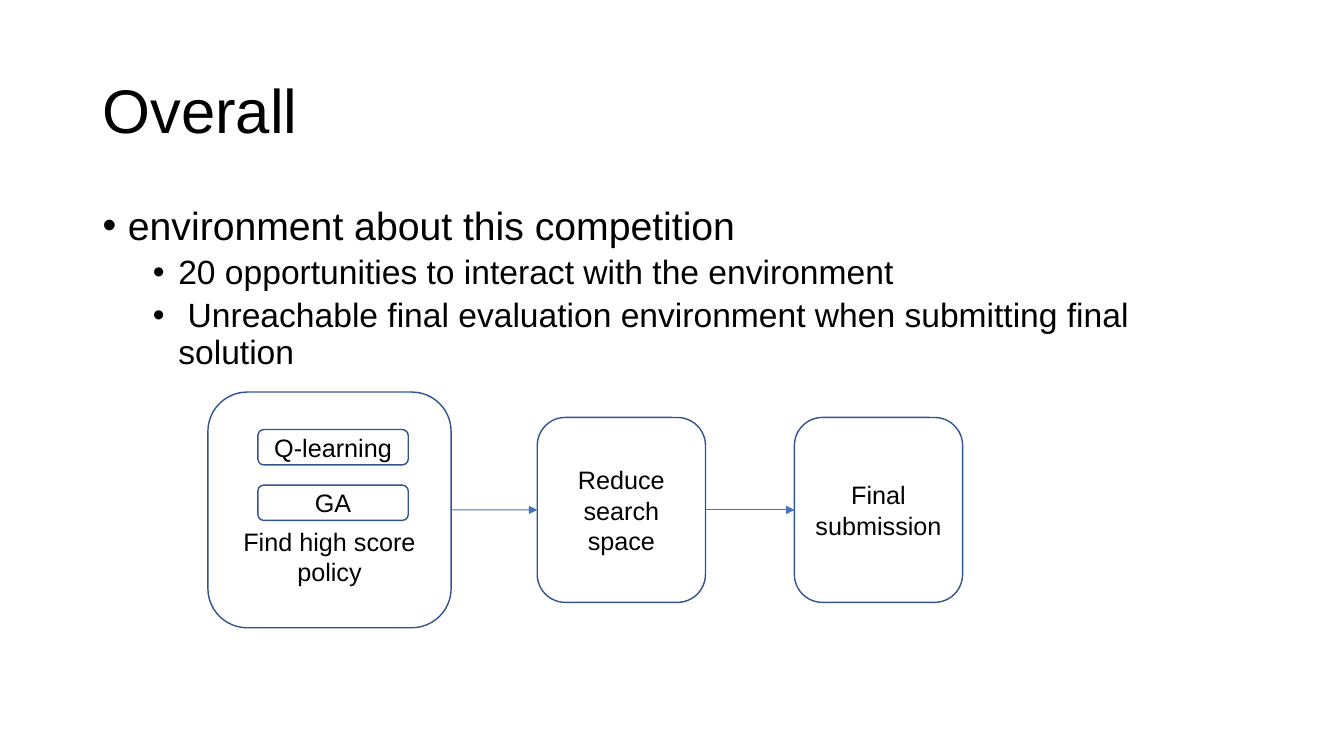
from dataclasses import dataclass

from lxml.etree import SubElement
from pptx import Presentation
from pptx.dml.color import RGBColor
from pptx.enum.shapes import MSO_CONNECTOR, MSO_SHAPE
from pptx.enum.text import MSO_ANCHOR, MSO_AUTO_SIZE, PP_ALIGN
from pptx.oxml.ns import qn
from pptx.shapes.autoshape import Shape
from pptx.slide import Slide
from pptx.text.text import TextFrame
from pptx.util import Cm, Pt

COLORS = {"text": "000000", "paper": "FFFFFF", "outline": "31538F", "arrow": "4472C4"}
FONT = "Arial"
FLOW_MIDDLE = 12.85


@dataclass(frozen=True)
class Step:
    text: str
    left: float
    middle: float
    width: float
    height: float
    fill: str | None = None
    top_inset: float = 0.13


@dataclass(frozen=True)
class Point:
    text: str
    size: int
    level: int
    indent: float
    space_before: int


STAGES = [
    Step("Find high score policy", 5.24, FLOW_MIDDLE, 6.13, 5.94, top_inset=2.46),
    Step("Reduce search space", 13.54, FLOW_MIDDLE, 4.24, 4.66),
    Step("Final submission", 20.02, FLOW_MIDDLE, 4.24, 4.66),
]
METHODS = [
    Step(name, 6.5, 11.27 + 1.4 * row, 3.79, 0.89, "paper")
    for row, name in enumerate(["Q-learning", "GA"])
]
POINTS = [
    Point("environment about this competition", 28, 0, 0.64, 0),
    Point("20 opportunities to interact with the environment", 24, 1, 1.91, 5),
    Point(
        " Unreachable final evaluation environment when submitting final solution",
        24, 1, 1.91, 5,
    ),
]


def color(name: str) -> RGBColor:
    return RGBColor.from_string(COLORS[name])


def write(
    frame: TextFrame,
    text: str,
    *,
    size: int = 18,
    align: PP_ALIGN = PP_ALIGN.LEFT,
    anchor: MSO_ANCHOR = MSO_ANCHOR.MIDDLE,
    line_spacing: float = 1.0,
    space_before: int = 0,
    level: int = 0,
    bullet_indent: float | None = None,
    append: bool = False,
) -> None:
    frame.word_wrap = True
    frame.auto_size = MSO_AUTO_SIZE.NONE
    frame.vertical_anchor = anchor
    paragraph = frame.add_paragraph() if append else frame.paragraphs[0]
    paragraph.level = level
    paragraph.alignment = align
    paragraph.line_spacing = line_spacing
    paragraph.space_before = Pt(space_before)
    run = paragraph.add_run()
    run.text = text
    run.font.name = FONT
    run.font.size = Pt(size)
    run.font.color.rgb = color("text")
    if bullet_indent is not None:
        properties = paragraph._p.get_or_add_pPr()
        properties.set("marL", str(Cm(bullet_indent)))
        properties.set("indent", str(-Cm(0.64)))
        SubElement(properties, qn("a:buFont")).set("typeface", FONT)
        SubElement(properties, qn("a:buChar")).set("char", "•")


def place(placeholder: Shape, left: float, top: float, width: float, height: float) -> None:
    placeholder.left, placeholder.top = Cm(left), Cm(top)
    placeholder.width, placeholder.height = Cm(width), Cm(height)


def draw_step(slide: Slide, step: Step) -> Shape:
    box = slide.shapes.add_shape(
        MSO_SHAPE.ROUNDED_RECTANGLE,
        Cm(step.left), Cm(step.middle - step.height / 2), Cm(step.width), Cm(step.height),
    )
    box.shadow.inherit = False
    if step.fill:
        box.fill.solid()
        box.fill.fore_color.rgb = color(step.fill)
    else:
        box.fill.background()
    box.line.color.rgb = color("outline")
    box.line.width = Pt(1)
    box.text_frame.margin_top = Cm(step.top_inset)
    write(box.text_frame, step.text, align=PP_ALIGN.CENTER)
    return box


def draw_arrow(slide: Slide, source: Shape, target: Shape) -> None:
    arrow = slide.shapes.add_connector(MSO_CONNECTOR.STRAIGHT, 0, 0, 0, 0)
    arrow.begin_connect(source, 3)
    arrow.end_connect(target, 1)
    arrow.line.color.rgb = color("arrow")
    arrow.line.width = Pt(0.75)
    SubElement(arrow.line._get_or_add_ln(), qn("a:tailEnd")).set("type", "triangle")
    SubElement(arrow._element.spPr, qn("a:effectLst"))


def main() -> None:
    presentation = Presentation()
    presentation.slide_width, presentation.slide_height = Cm(33.87), Cm(19.05)
    slide = presentation.slides.add_slide(presentation.slide_layouts[1])

    heading = slide.shapes.title
    place(heading, 2.33, 1.01, 29.21, 3.68)
    write(heading.text_frame, "Overall", size=44, line_spacing=0.9)

    outline = slide.placeholders[1]
    place(outline, 2.33, 5.07, 29.21, 12.09)
    for number, point in enumerate(POINTS):
        write(
            outline.text_frame,
            point.text,
            size=point.size,
            anchor=MSO_ANCHOR.TOP,
            line_spacing=0.9,
            space_before=point.space_before,
            level=point.level,
            bullet_indent=point.indent,
            append=number > 0,
        )

    stages = [draw_step(slide, stage) for stage in STAGES]
    for method in METHODS:
        draw_step(slide, method)
    for source, target in zip(stages, stages[1:]):
        draw_arrow(slide, source, target)

    presentation.save("out.pptx")


if __name__ == "__main__":
    main()
